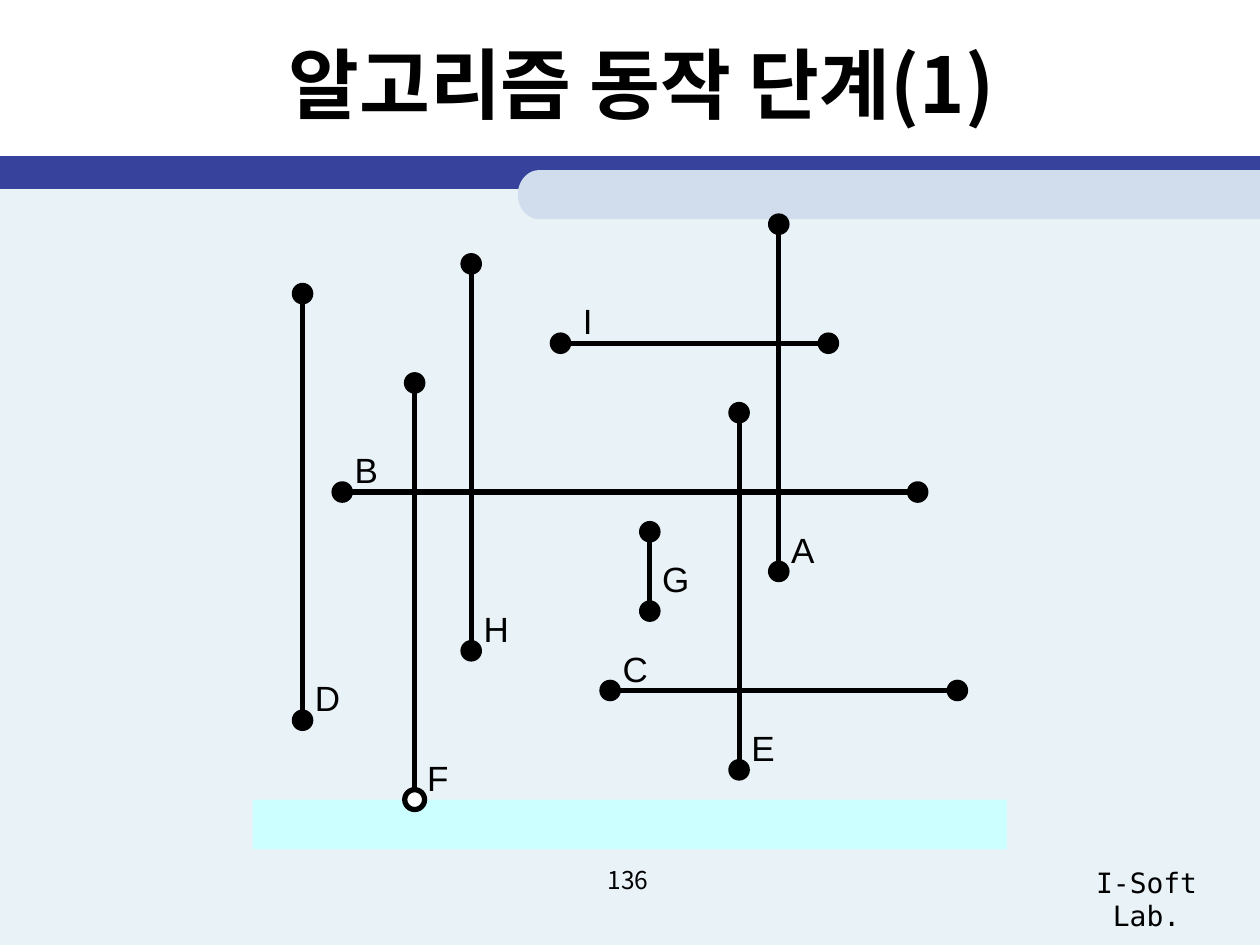
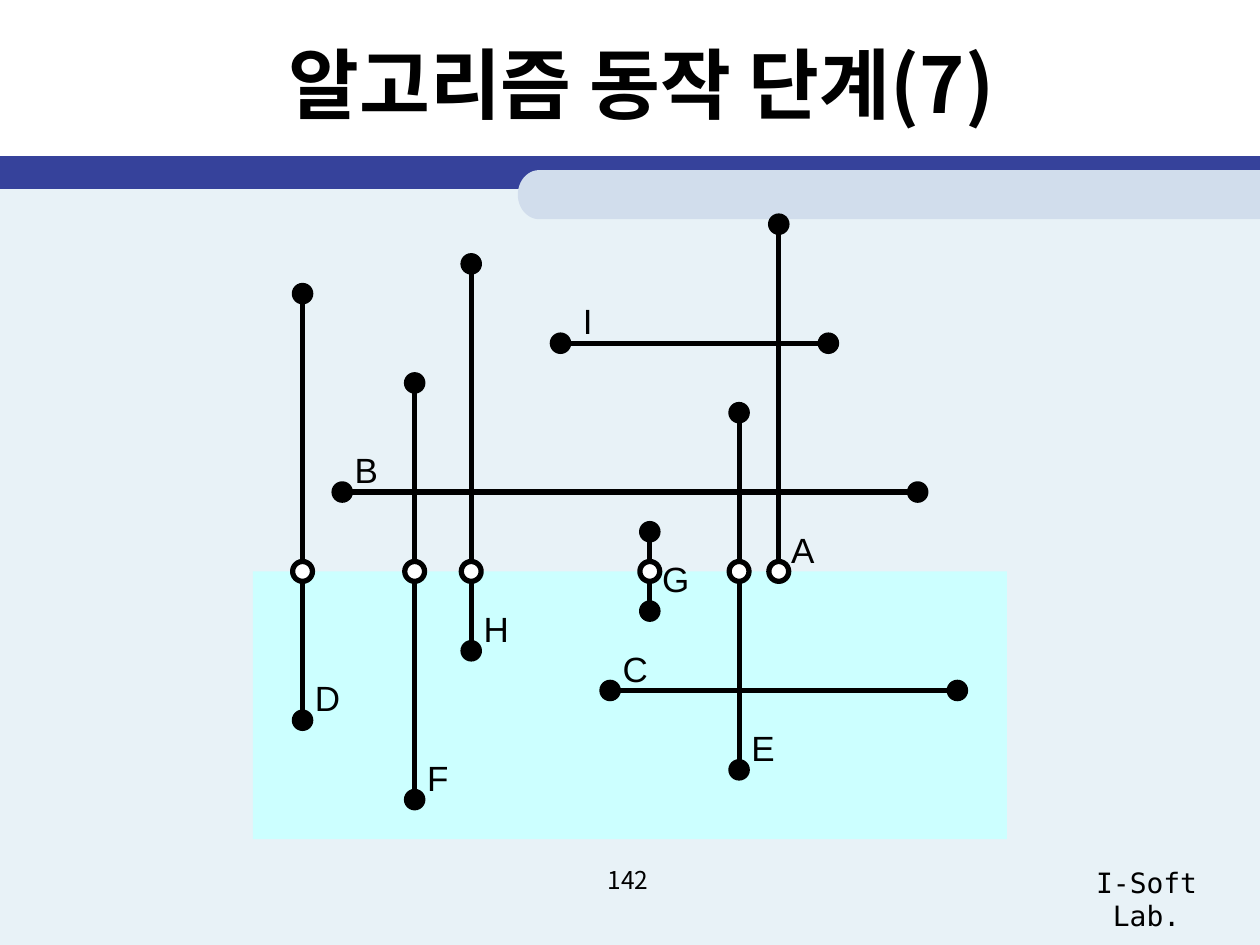
from dataclasses import dataclass
from math import cos, pi, sin

from lxml.etree import SubElement
from pptx import Presentation
from pptx.dml.color import RGBColor
from pptx.enum.shapes import MSO_CONNECTOR, MSO_SHAPE
from pptx.enum.text import MSO_ANCHOR, MSO_AUTO_SIZE, PP_ALIGN
from pptx.oxml.ns import qn
from pptx.util import Cm, Pt

# Content: each step gives its number, page, sweep line height and swept depth (cm)
TITLE = "알고리즘 동작 단계({})"
LAB = "I-Soft Lab."
STEPS = [
    dict(number=1, page=136, sweep=16.12, depth=1.0),
    dict(number=7, page=142, sweep=11.52, depth=5.4),
]

# Segments: x1, y1, x2, y2 in cm
SEGMENTS = {
    "A": (15.7, 4.52, 15.7, 11.52),
    "B": (6.9, 9.92, 18.5, 9.92),
    "C": (12.3, 13.92, 19.3, 13.92),
    "D": (6.1, 5.92, 6.1, 14.52),
    "E": (14.9, 8.32, 14.9, 15.52),
    "F": (8.36, 7.72, 8.36, 16.12),
    "G": (13.1, 10.72, 13.1, 12.32),
    "H": (9.5, 5.32, 9.5, 13.12),
    "I": (11.3, 6.92, 16.7, 6.92),
}
LABEL_NUDGES = {"G": (0, -0.2), "I": (0.2, 0)}

# Measures (cm)
SLIDE_W, SLIDE_H = 25.4, 19.05
SWEPT_LEFT, SWEPT_WIDTH = 5.1, 15.2
DOT = 0.4
LABEL_W, LABEL_H, LABEL_RISE = 1.1, 1.12, 1.0


@dataclass(frozen=True)
class Theme:
    ink: RGBColor = RGBColor.from_string("000000")
    paper: RGBColor = RGBColor.from_string("FFFFFF")
    body: RGBColor = RGBColor.from_string("E8F2F7")
    band: RGBColor = RGBColor.from_string("36429B")
    tab: RGBColor = RGBColor.from_string("D1DDEC")
    swept: RGBColor = RGBColor.from_string("CCFFFF")
    korean: str = "Noto Sans CJK KR"
    mono: str = "DejaVu Sans Mono"
    sans: str = "Arial"
    title_size: int = 44
    label_size: int = 20
    lab_size: int = 16
    page_size: int = 14
    stroke: int = 3
    outline: int = 1


THEME = Theme()


# Drawing helpers
def box(left, top, width, height):
    return Cm(left), Cm(top), Cm(width), Cm(height)


def paint(shape, fill, outline=None):
    shape.shadow.inherit = False
    shape.fill.solid()
    shape.fill.fore_color.rgb = fill
    if outline is None:
        shape.line.fill.background()
    else:
        shape.line.color.rgb = THEME.ink
        shape.line.width = Pt(outline)
    return shape


def write(frame, text, font, size, bold=False, align=PP_ALIGN.CENTER):
    frame.word_wrap = True
    frame.auto_size = MSO_AUTO_SIZE.NONE
    paragraph = frame.paragraphs[0]
    paragraph.alignment = align
    run = paragraph.add_run()
    run.text = text
    run.font.size = Pt(size)
    run.font.bold = bold
    run.font.color.rgb = THEME.ink
    run.font.name = font
    SubElement(run.font._element, qn("a:ea")).set("typeface", font)


def add_text(slide, place, text, font, size, **style):
    textbox = slide.shapes.add_textbox(*box(*place))
    write(textbox.text_frame, text, font, size, **style)
    return textbox


def add_rect(slide, place, fill):
    return paint(slide.shapes.add_shape(MSO_SHAPE.RECTANGLE, *box(*place)), fill)


def add_dot(slide, x, y, fill, outline):
    place = box(x - DOT / 2, y - DOT / 2, DOT, DOT)
    paint(slide.shapes.add_shape(MSO_SHAPE.OVAL, *place), fill, outline)


# Shared background, band and footer
def add_tab(slide):
    left, top, height, radius_x = 10.44, 3.43, 0.99, 0.43
    radius_y, steps = height / 2, 24
    turns = [pi / 2 + pi * i / steps for i in range(steps + 1)]
    round_end = [(Cm(left + radius_x + radius_x * cos(t)),
                  Cm(top + radius_y - radius_y * sin(t))) for t in turns]
    outline = slide.shapes.build_freeform(Cm(SLIDE_W), Cm(top))
    outline.add_line_segments(round_end + [(Cm(SLIDE_W), Cm(top + height))], close=True)
    return paint(outline.convert_to_shape(), THEME.tab)


def dress_master(master, slide):
    """Draw the shared parts on a slide, then move them to the master."""
    parts = [
        add_rect(slide, (0, 3.56, SLIDE_W, SLIDE_H - 3.56), THEME.body),
        add_rect(slide, (0, 3.15, SLIDE_W, 0.66), THEME.band),
        add_tab(slide),
        add_text(slide, (21.11, 17.32, 4.01, 0.94), LAB, THEME.mono, THEME.lab_size),
    ]
    for number, part in enumerate(parts, start=20):
        part.element.xpath(".//p:cNvPr")[0].set("id", str(number))
        master.element.cSld.spTree.append(part.element)


# Segment diagram
def add_segment(slide, x1, y1, x2, y2):
    line = slide.shapes.add_connector(
        MSO_CONNECTOR.STRAIGHT, Cm(x1), Cm(y1), Cm(x2), Cm(y2))
    line.line.color.rgb = THEME.ink
    line.line.width = Pt(THEME.stroke)
    SubElement(line.element.spPr, qn("a:effectLst"))


def add_label(slide, name):
    x1, _, _, y2 = SEGMENTS[name]
    dx, dy = LABEL_NUDGES.get(name, (0, 0))
    add_text(slide, (x1 + dx, y2 - LABEL_RISE + dy, LABEL_W, LABEL_H),
             name, THEME.sans, THEME.label_size, align=PP_ALIGN.LEFT)


def add_diagram(slide, sweep, depth):
    add_rect(slide, (SWEPT_LEFT, sweep, SWEPT_WIDTH, depth), THEME.swept)
    for name, (x1, y1, x2, y2) in SEGMENTS.items():
        add_segment(slide, x1, y1, x2, y2)
        for x, y in ((x1, y1), (x2, y2)):
            if y != sweep:
                add_dot(slide, x, y, THEME.ink, THEME.outline)
        # An open dot marks where the sweep line meets a vertical segment
        if x1 == x2 and y1 <= sweep <= y2:
            add_dot(slide, x1, sweep, THEME.paper, THEME.stroke)
        add_label(slide, name)


def add_step(prs, number, page, sweep, depth):
    slide = prs.slides.add_slide(prs.slide_layouts[5])
    title = slide.shapes.title
    title.left, title.top, title.width, title.height = box(1.5, 0.2, 22.86, 2.92)
    title.text_frame.vertical_anchor = MSO_ANCHOR.MIDDLE
    write(title.text_frame, TITLE.format(number), THEME.korean, THEME.title_size, bold=True)
    add_text(slide, (9.7, 17.32, 5.92, 1.32), str(page), THEME.korean, THEME.page_size)
    add_diagram(slide, sweep, depth)
    return slide


def main():
    prs = Presentation()
    prs.slide_width, prs.slide_height = Cm(SLIDE_W), Cm(SLIDE_H)
    slides = [add_step(prs, **step) for step in STEPS]
    dress_master(prs.slide_master, slides[0])
    prs.save("out.pptx")


if __name__ == "__main__":
    main()
